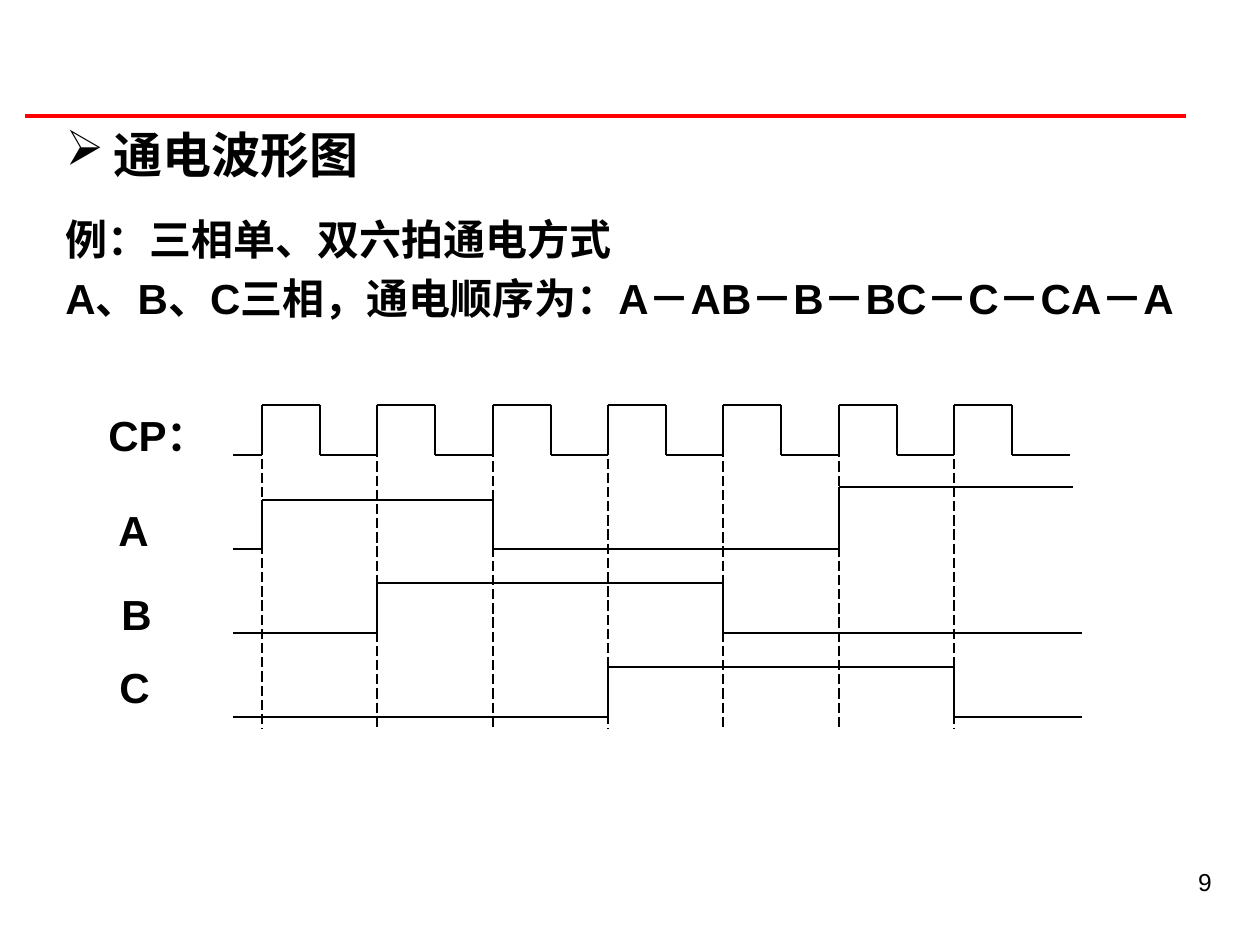
from itertools import pairwise

from lxml import etree
from pptx import Presentation
from pptx.dml.color import RGBColor
from pptx.enum.dml import MSO_LINE
from pptx.enum.shapes import MSO_CONNECTOR
from pptx.enum.text import MSO_ANCHOR, PP_ALIGN
from pptx.oxml.ns import qn
from pptx.util import Pt

STRAIGHT = MSO_CONNECTOR.STRAIGHT
LONG_DASH = MSO_LINE.LONG_DASH
TOP = MSO_ANCHOR.TOP
LEFT, RIGHT = PP_ALIGN.LEFT, PP_ALIGN.RIGHT

PX = 914400 / 126
COLORS = {"ink": "000000", "rule": "FF0000"}
HANG = 48


def add_line(start, end, color="ink", width=0.75, dash=None):
    ends = [round(v * PX) for v in (*start, *end)]
    ln = s.shapes.add_connector(STRAIGHT, *ends)
    ln.line.color.rgb = RGBColor.from_string(COLORS[color])
    ln.line.width = Pt(width)
    if dash:
        ln.line.dash_style = dash
    etree.SubElement(ln._element.spPr, qn("a:effectLst"))


def write_text(sp, box, lines, size, bold=True, align=LEFT, hang=0, bullet=None):
    sp.left, sp.top, sp.width, sp.height = [round(v * PX) for v in box]
    tf = sp.text_frame
    tf.word_wrap = True
    tf.vertical_anchor = TOP
    tf.text = "\n".join(lines)
    for i, p in enumerate(tf.paragraphs):
        p.alignment = align
        if i:
            p.space_before = Pt(size * 0.2)
        if hang:
            pPr = p._p.get_or_add_pPr()
            pPr.set("marL", str(round(hang * PX)))
            pPr.set("indent", str(round(-hang * PX)))
            if bullet:
                etree.SubElement(pPr, qn("a:buChar")).set("char", bullet)
        for r in p.runs:
            r.font.name = "Arial"
            r.font.size = Pt(size)
            r.font.bold = bold
            r.font.color.rgb = RGBColor.from_string(COLORS["ink"])


prs = Presentation()
prs.slide_width = round(1260 * PX)
prs.slide_height = round(945 * PX)
s = prs.slides.add_slide(prs.slide_layouts[5])

# Red rule, heading, explanation and page number
add_line((25, 116), (1186, 116), "rule", 2.75)
write_text(s.shapes.title, (53, 118, 1166, 78), ["通电波形图"], 28,
           hang=HANG, bullet="➢")
write_text(s.shapes.add_textbox(0, 0, 0, 0), (53, 207, 1166, 724),
           ["例：三相单、双六拍通电方式",
            "A、B、C三相，通电顺序为：A－AB－B－BC－C－CA－A"], 24, hang=HANG)
write_text(s.shapes.add_textbox(0, 0, 0, 0), (1145, 861, 79, 66), ["9"], 14,
           bold=False, align=RIGHT)

# Signal labels
for label, x, y, w in [("CP：", 96, 403, 144), ("A", 106, 498, 66),
                       ("B", 109, 582, 66), ("C", 107, 655, 66)]:
    write_text(s.shapes.add_textbox(0, 0, 0, 0), (x, y, w, 63), [label], 24)

# Rising clock edges set the time grid
START = 233
PITCH = 346 / 3
edges = [round(262 + PITCH * i) for i in range(7)]

# Dashed guides, taller at every third edge
for i, x in enumerate(edges):
    add_line((x, 433 if i % 3 else 416), (x, 729), dash=LONG_DASH)

# Waveforms: low level, right end, and (x, new level) at each switch
clock = []
for x in edges:
    clock += [(x, 405), (round(x + PITCH / 2), 455)]
waves = [
    (455, 1070, clock),
    (549, 1073, [(edges[0], 500), (edges[2], 549), (edges[5], 487)]),
    (633, 1082, [(edges[1], 583), (edges[4], 633)]),
    (717, 1082, [(edges[3], 667), (edges[6], 717)]),
]
for low, end, switches in waves:
    points = [(START, low)]
    for x, level in switches:
        points += [(x, points[-1][1]), (x, level)]
    points.append((end, points[-1][1]))
    for a, b in pairwise(points):
        add_line(a, b)

prs.save("out.pptx")
